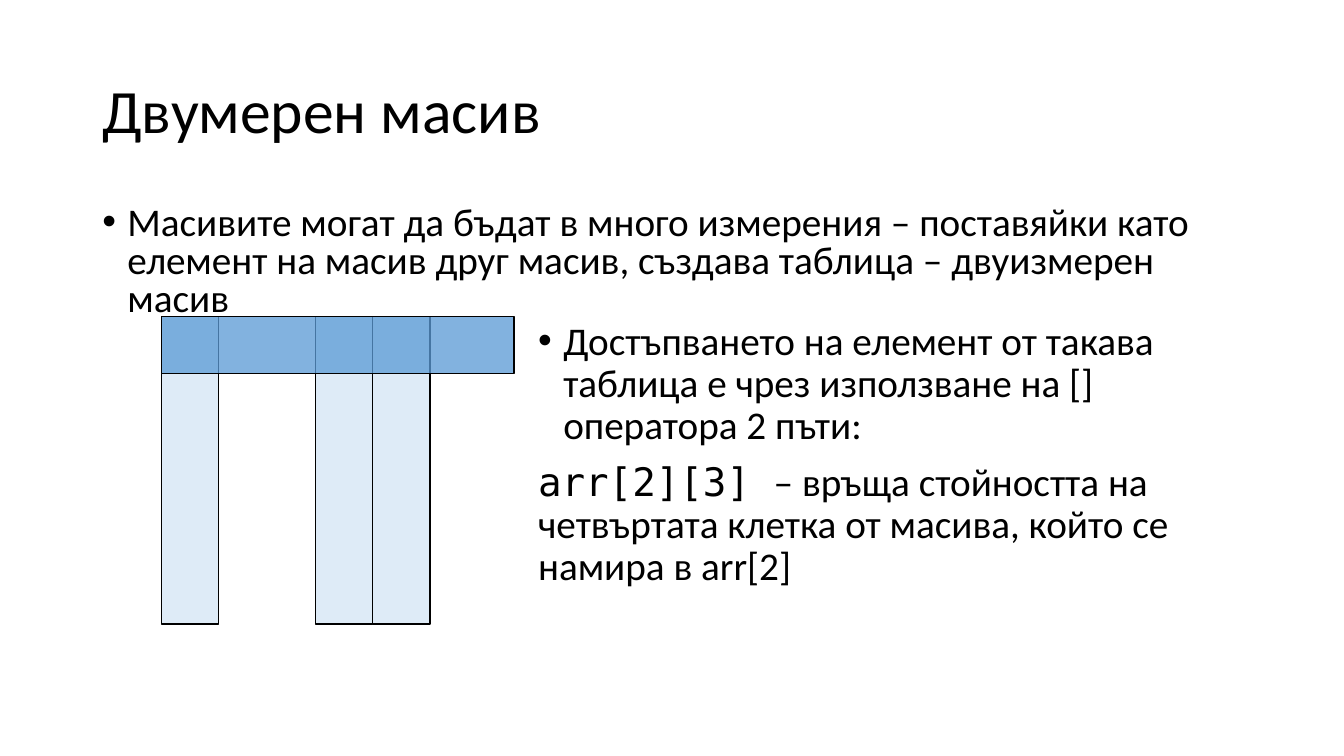
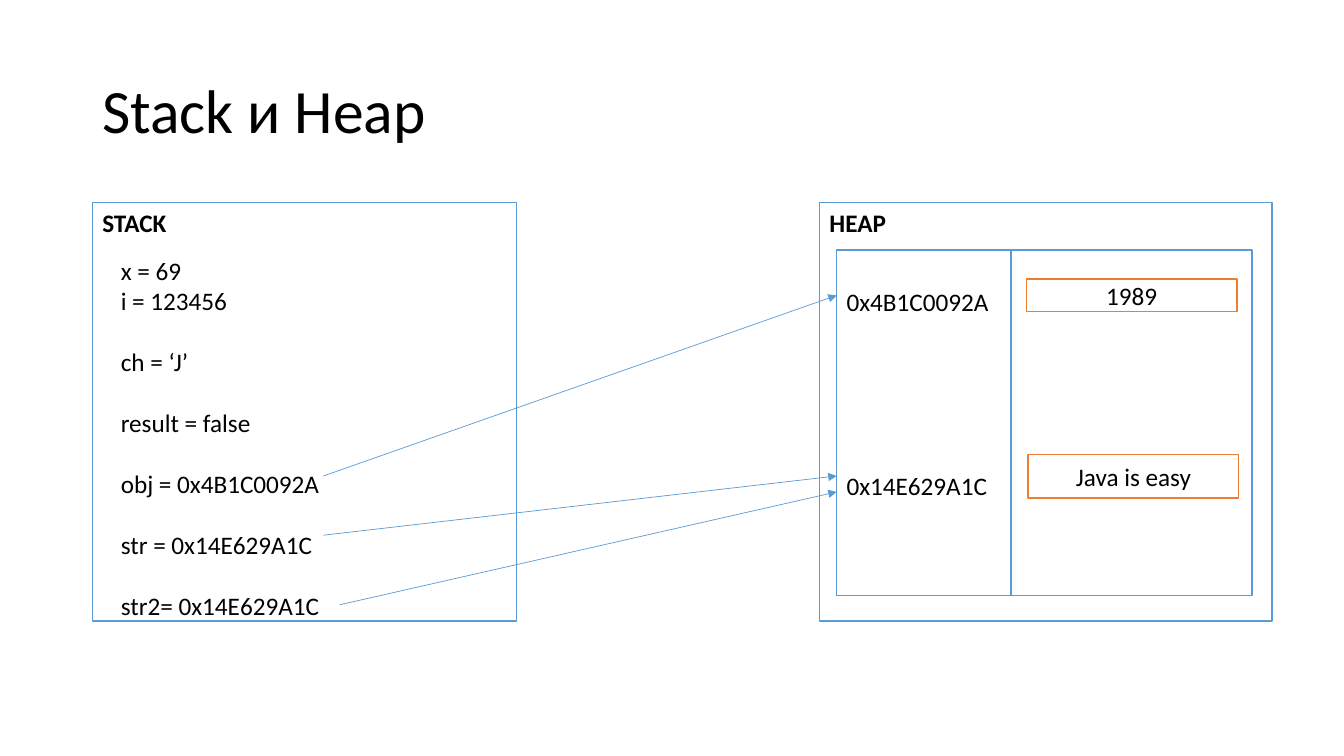
"""Build two slides on two-dimensional arrays and on stack and heap memory."""
from dataclasses import dataclass

from lxml import etree
from pptx import Presentation
from pptx import util as u
from pptx.dml import color
from pptx.enum import shapes, text
from pptx.oxml import ns


@dataclass(frozen=True)
class Theme:
    """Colours, fonts and type sizes shared by the slides."""

    ink: str = "000000"
    paper: str = "FFFFFF"
    blue: str = "5B9BD5"
    pale: str = "DEEBF7"
    orange: str = "ED7D31"
    font: str = "Calibri"
    code_font: str = "DejaVu Sans Mono"
    title: int = 44
    body: int = 28
    label: int = 18


THEME = Theme()
TITLE_FRAME = (66, 29, 828, 104)
LABEL_LINE = 22


def rgb(value):
    """Return the colour object for a hex value."""
    return color.RGBColor.from_string(value)


def frame_points(frame):
    """Convert left, top, width and height to lengths."""
    return [u.Pt(value) for value in frame]


def style_runs(paragraph, size, bold=False, font=THEME.font):
    """Give every run of a paragraph its font, size and colour."""
    for run in paragraph.runs:
        run.font.name = font
        run.font.size = u.Pt(size)
        run.font.bold = bold
        run.font.color.rgb = rgb(THEME.ink)


def write_lines(holder, lines, size, bold=False, align=text.PP_ALIGN.LEFT,
                anchor=text.MSO_ANCHOR.TOP, spacing=1.0):
    """Fill a shape with one paragraph per line and return the paragraphs."""
    frame = holder.text_frame
    frame.word_wrap = True
    frame.vertical_anchor = anchor
    frame.text = "\n".join(lines)
    for paragraph in frame.paragraphs:
        paragraph.alignment = align
        paragraph.line_spacing = spacing
        style_runs(paragraph, size, bold)
    return frame.paragraphs


def add_text(slide, frame, lines, size, **style):
    """Add a text box and return its paragraphs."""
    return write_lines(slide.shapes.add_textbox(*frame_points(frame)), lines, size, **style)


def add_bullet(paragraph, indent=18):
    """Turn a paragraph into a bullet with a hanging indent."""
    properties = paragraph._p.get_or_add_pPr()
    properties.set("marL", str(u.Pt(indent)))
    properties.set("indent", str(u.Pt(-indent)))
    etree.SubElement(properties, ns.qn("a:buFont"), typeface="Arial")
    etree.SubElement(properties, ns.qn("a:buChar"), char="•")


def add_box(slide, frame, line, fill=THEME.paper, opacity=100):
    """Add a thinly outlined rectangle."""
    box = slide.shapes.add_shape(shapes.MSO_SHAPE.RECTANGLE, *frame_points(frame))
    box.shadow.inherit = False
    box.fill.solid()
    box.fill.fore_color.rgb = rgb(fill)
    box.line.color.rgb = rgb(line)
    box.line.width = u.Pt(1)
    if opacity < 100:
        tint = box.fill._xPr.find(ns.qn("a:solidFill"))[0]
        etree.SubElement(tint, ns.qn("a:alpha"), val=str(opacity * 1000))
    return box


def add_region(slide, frame, name):
    """Add a memory region with its bold name in the top left corner."""
    write_lines(add_box(slide, frame, THEME.blue), [name], THEME.label, bold=True)


def add_value(slide, frame, value):
    """Add an orange box with a centred stored value."""
    write_lines(add_box(slide, frame, THEME.orange), [value], THEME.label,
                align=text.PP_ALIGN.CENTER, anchor=text.MSO_ANCHOR.MIDDLE)


def add_arrow(slide, start, end):
    """Add a thin arrow from a variable to a heap address."""
    arrow = slide.shapes.add_connector(
        shapes.MSO_CONNECTOR.STRAIGHT, *frame_points((*start, *end)))
    arrow.line.color.rgb = rgb(THEME.blue)
    arrow.line.width = u.Pt(0.5)
    etree.SubElement(arrow.line._get_or_add_ln(), ns.qn("a:tailEnd"), type="triangle")
    etree.SubElement(arrow._element.spPr, ns.qn("a:effectLst"))


def add_titled_slide(deck, title):
    """Add a blank slide with the shared title style."""
    slide = deck.slides.add_slide(deck.slide_layouts[6])
    add_text(slide, TITLE_FRAME, [title], THEME.title,
             anchor=text.MSO_ANCHOR.MIDDLE, spacing=0.9)
    return slide


def build_array_slide(deck):
    """Build the slide on two-dimensional arrays."""
    slide = add_titled_slide(deck, "Двумерен масив")
    left, top, cell = 115.2, 226, 41
    for column_left in (left, left + 110, left + 110 + cell):
        add_box(slide, (column_left, top, cell, 219.6), THEME.ink, THEME.pale)
    intro, = add_text(slide, (66, 144, 828, 90), [
        "Масивите могат да бъдат в много измерения – поставяйки като елемент "
        "на масив друг масив, създава таблица – двуизмерен масив"],
        THEME.body, spacing=0.8)
    add_bullet(intro)
    add_box(slide, (left, top, 252, cell), THEME.ink, THEME.blue, opacity=76)

    access, example = add_text(slide, (377.3, top, 496.8, 219.6), [
        "Достъпването на елемент от такава таблица е чрез използване на [] "
        "оператора 2 пъти:", "arr[2][3] "], THEME.body, spacing=0.9)
    add_bullet(access)
    example.space_before = u.Pt(10)
    example.add_run().text = ("– връща стойността на четвъртата клетка от масива, "
                              "който се намира в arr[2]")
    style_runs(example, THEME.body)
    example.runs[0].font.name = THEME.code_font


def build_memory_slide(deck):
    """Build the slide on stack and heap."""
    slide = add_titled_slide(deck, "Stack и Heap")
    region_top, region_height, cells_top, cells_height = 144.7, 298.8, 178.6, 247
    heap_left, address_width = 597.6, 124.6

    add_region(slide, (585.4, region_top, 323.3, region_height), "HEAP")
    addresses = add_box(slide, (heap_left, cells_top, address_width, cells_height), THEME.blue)
    addresses.text_frame.margin_top = u.Pt(3.6 + LABEL_LINE)
    _, second = write_lines(addresses, ["0x4B1C0092A", "0x14E629A1C"], THEME.label)
    second.space_before = u.Pt(5 * LABEL_LINE)
    add_box(slide, (heap_left + address_width, cells_top, 172, cells_height), THEME.blue)

    add_region(slide, (66, region_top, 303, region_height), "STACK")
    variables = add_text(slide, (79.2, cells_top, 274.3, 272), [
        "x = 69", "i = 123456", "ch = ‘J’", "result = false", "obj = 0x4B1C0092A",
        "str = 0x14E629A1C", "str2= 0x14E629A1C"], THEME.label)
    for variable in variables[2:]:
        variable.space_before = u.Pt(LABEL_LINE)

    add_value(slide, (733, 199.4, 150.5, 23), "1989")
    add_value(slide, (734.4, 324.7, 150.5, 31), "Java is easy")
    for start, address_y in (((231, 340), 211), ((231, 382.3), 340), ((242.6, 432), 351.4)):
        add_arrow(slide, start, (heap_left, address_y))


def main():
    """Build and save the presentation."""
    deck = Presentation()
    deck.slide_width, deck.slide_height = u.Pt(960), u.Pt(540)
    build_array_slide(deck)
    build_memory_slide(deck)
    deck.save("out.pptx")


if __name__ == "__main__":
    main()
